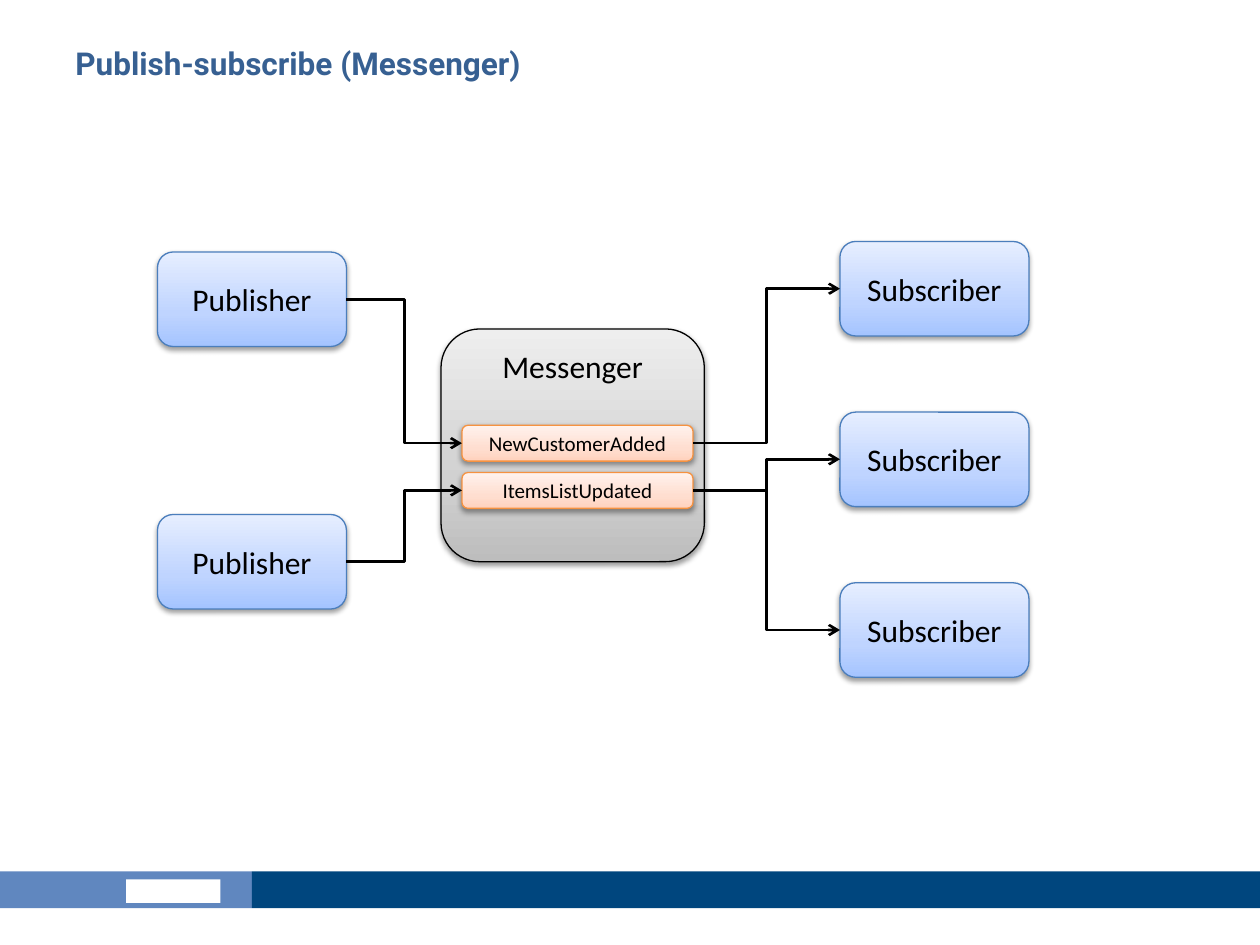
from copy import deepcopy
from dataclasses import dataclass
from typing import NamedTuple

from pptx import Presentation
from pptx.dml.color import RGBColor
from pptx.enum.shapes import MSO_CONNECTOR, MSO_SHAPE
from pptx.enum.text import MSO_ANCHOR, PP_ALIGN
from pptx.oxml import parse_xml
from pptx.oxml.ns import nsdecls, qn
from pptx.oxml.xmlchemy import OxmlElement
from pptx.util import Pt


class Box(NamedTuple):
    """A rectangle in points."""
    left: float
    top: float
    width: float
    height: float

    def inner(self, left, top, width, height):
        """Return a box placed relative to this one."""
        return Box(self.left + left, self.top + top, width, height)

    def lengths(self):
        """Return the four sides as slide lengths."""
        return [Pt(value) for value in self]


class NodeStyle(NamedTuple):
    """Gradient colours from bottom to top, outline and text size."""
    gradient: tuple
    outline: str
    text_size: float


@dataclass(frozen=True)
class Theme:
    """Colours, fonts and sizes of the slide."""
    title_font: str = "Roboto"
    body_font: str = "Calibri"
    title_size: float = 18
    title_color: str = "376092"
    ink: str = "000000"
    white: str = "FFFFFF"
    footer_light: str = "6087BF"
    footer_dark: str = "00467E"
    node_line: float = 0.75
    arrow_line: float = 1.5
    client: NodeStyle = NodeStyle(("A4C4FF", "BFD4FF", "E6EEFF"), "4B7EBC", 18)
    hub: NodeStyle = NodeStyle(("BDBDBD", "D1D1D1", "EEEEEE"), "000000", 18)
    event: NodeStyle = NodeStyle(("FFD2BD", "FFDED0", "FFF2ED"), "F69240", 12)


THEME = Theme()
GRADIENT_POSITIONS = (0, 0.35, 1)
RIGHT_SIDE, LEFT_SIDE = 3, 1


def color(value):
    """Turn a hex string into a colour."""
    return RGBColor.from_string(value)


def set_font(paragraph, name, size, value, bold=False):
    """Set the font of a whole paragraph."""
    font = paragraph.font
    font.name, font.size, font.bold = name, Pt(size), bold
    font.color.rgb = color(value)


def fill_gradient(shape, colors):
    """Fill a shape with a three-stop gradient rising from the bottom."""
    shape.fill.gradient()
    shape.fill.gradient_angle = 90
    stop_list = shape._element.spPr.find(qn("a:gradFill")).find(qn("a:gsLst"))
    stop_list.insert(1, deepcopy(stop_list[0]))
    for stop, position, value in zip(shape.fill.gradient_stops, GRADIENT_POSITIONS, colors):
        stop.position = position
        stop.color.rgb = color(value)


def add_shadow(shape):
    """Give a shape a soft shadow straight below it."""
    shape.shadow.inherit = False
    effects = shape._element.spPr.find(qn("a:effectLst"))
    effects.append(parse_xml(
        f'<a:outerShdw {nsdecls("a")} blurRad="{Pt(3.1)}" dist="{Pt(1.6)}" '
        f'dir="5400000" rotWithShape="0"><a:srgbClr val="{THEME.ink}">'
        '<a:alpha val="38000"/></a:srgbClr></a:outerShdw>'))


def add_node(slide, box, text, style, anchor=MSO_ANCHOR.MIDDLE):
    """Draw a rounded, shaded node with centred text."""
    shape = slide.shapes.add_shape(MSO_SHAPE.ROUNDED_RECTANGLE, *box.lengths())
    fill_gradient(shape, style.gradient)
    shape.line.color.rgb = color(style.outline)
    shape.line.width = Pt(THEME.node_line)
    add_shadow(shape)
    frame = shape.text_frame
    frame.vertical_anchor = anchor
    paragraph = frame.paragraphs[0]
    paragraph.text = text
    paragraph.alignment = PP_ALIGN.CENTER
    set_font(paragraph, THEME.body_font, style.text_size, THEME.ink)
    return shape


def add_arrow(slide, source, target):
    """Join the right side of one node to the left side of another."""
    connector = slide.shapes.add_connector(MSO_CONNECTOR.ELBOW, 0, 0, 0, 0)
    connector.begin_connect(source, RIGHT_SIDE)
    connector.end_connect(target, LEFT_SIDE)
    connector.line.color.rgb = color(THEME.ink)
    connector.line.width = Pt(THEME.arrow_line)
    head = OxmlElement("a:tailEnd")
    head.set("type", "arrow")
    connector.line._get_or_add_ln().append(head)
    connector._element.spPr.append(OxmlElement("a:effectLst"))


def add_bar(slide, box, value):
    """Draw a plain filled rectangle."""
    bar = slide.shapes.add_shape(MSO_SHAPE.RECTANGLE, *box.lengths())
    bar.shadow.inherit = False
    bar.fill.solid()
    bar.fill.fore_color.rgb = color(value)
    bar.line.fill.background()


def add_footer(slide, box):
    """Draw the two-colour footer with a plain badge."""
    split = 144
    add_bar(slide, box.inner(0, 0, split, box.height), THEME.footer_light)
    add_bar(slide, box.inner(72, 4.5, 54, 13.5), THEME.white)
    add_bar(slide, box.inner(split, 0, box.width - split, box.height), THEME.footer_dark)


def add_title(slide, box, text):
    """Place the slide title."""
    frame = slide.shapes.add_textbox(*box.lengths()).text_frame
    frame.word_wrap = True
    paragraph = frame.paragraphs[0]
    paragraph.text = text
    set_font(paragraph, THEME.title_font, THEME.title_size, THEME.title_color, bold=True)


def add_column(slide, box, labels, pitch, style):
    """Stack equal nodes, the first of them filling the given box."""
    return [add_node(slide, box.inner(0, index * pitch, box.width, box.height), label, style)
            for index, label in enumerate(labels)]


def add_diagram(slide, box):
    """Draw publishers, messenger and subscribers with their arrows."""
    publishers = add_column(slide, box.inner(0, 6, 108, 54), ["Publisher"] * 2, 150, THEME.client)
    subscribers = add_column(slide, box.inner(box.width - 108, 0, 108, 54),
                             ["Subscriber"] * 3, 97.5, THEME.client)
    add_node(slide, box.inner(162, 50, 150.5, 133), "Messenger", THEME.hub, MSO_ANCHOR.TOP)
    events = add_column(slide, box.inner(174, 105, 132, 20.5),
                        ["NewCustomerAdded", "ItemsListUpdated"], 27, THEME.event)
    added, updated = events
    for publisher, event in zip(publishers, events):
        add_arrow(slide, publisher, event)
    for event, subscriber in zip((added, updated, updated), subscribers):
        add_arrow(slide, event, subscriber)


def main():
    """Build and save the presentation."""
    presentation = Presentation()
    presentation.slide_width, presentation.slide_height = Pt(720), Pt(540)
    slide = presentation.slides.add_slide(presentation.slide_layouts[6])
    add_footer(slide, Box(0, 498, 720, 21))
    add_title(slide, Box(36, 21.6, 648, 44.6), "Publish-subscribe (Messenger)")
    add_diagram(slide, Box(90, 138, 498, 249))
    presentation.save("out.pptx")


if __name__ == "__main__":
    main()
